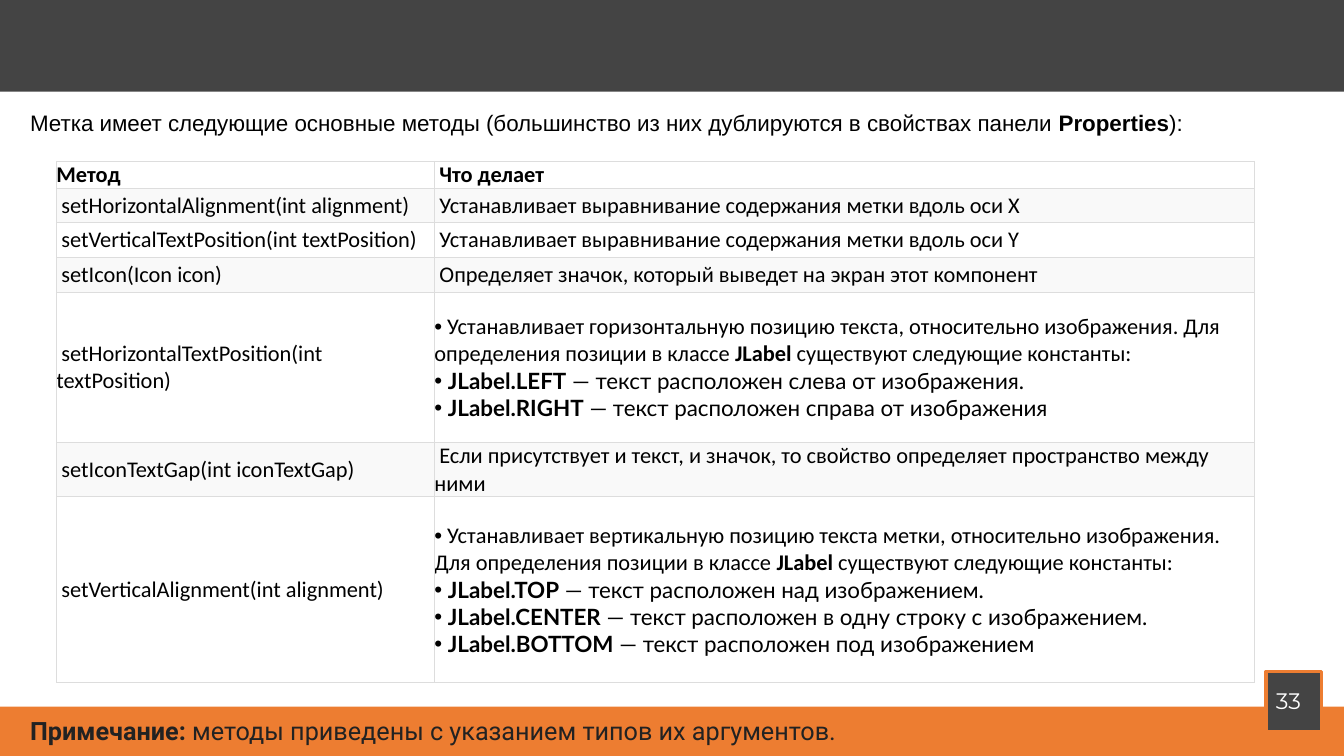
from lxml.etree import SubElement
from pptx import Presentation
from pptx.dml.color import RGBColor as RGB
from pptx.enum.shapes import MSO_SHAPE as SHAPE
from pptx.enum.text import MSO_ANCHOR as ANCHOR
from pptx.oxml.ns import qn
from pptx.util import Inches, Pt

ORANGE = RGB(0xED, 0x7D, 0x31)
DARK = RGB(0x44, 0x44, 0x44)
INK = RGB(0x22, 0x22, 0x22)
BLACK = RGB(0, 0, 0)
WHITE = RGB(0xFF, 0xFF, 0xFF)
STRIPE = RGB(0xF9, 0xF9, 0xF9)
BORDER = RGB(0xDD, 0xDD, 0xDD)

COLS, ROWS = 40, 30
METHOD_COLS = [11.25, 24.42]
METHOD_ROWS = [1.08, 1.36, 1.36, 1.4, 5.96, 2.16, 7.36]
METHODS = [
    ("*Метод*", [" *Что делает*"]),
    (" setHorizontalAlignment(int alignment)",
     [" Устанавливает выравнивание содержания метки вдоль оси X"]),
    (" setVerticalTextPosition(int textPosition)",
     [" Устанавливает выравнивание содержания метки вдоль оси Y"]),
    (" setIcon(Icon icon)",
     [" Определяет значок, который выведет на экран этот компонент"]),
    (" setHorizontalTextPosition(int textPosition)",
     [" Устанавливает горизонтальную позицию текста, относительно изображения. "
      "Для определения позиции в классе *JLabel* существуют следующие константы:",
      " *JLabel.LEFT* — текст расположен слева от изображения.",
      " *JLabel.RIGHT* — текст расположен справа от изображения"]),
    (" setIconTextGap(int iconTextGap)",
     [" Если присутствует и текст, и значок, то свойство определяет "
      "пространство между ними"]),
    (" setVerticalAlignment(int alignment)",
     [" Устанавливает вертикальную позицию текста метки, относительно изображения. "
      "Для определения позиции в классе *JLabel* существуют следующие константы:",
      " *JLabel.TOP* — текст расположен над изображением.",
      " *JLabel.CENTER* — текст расположен в одну строку с изображением.",
      " *JLabel.BOTTOM* — текст расположен под изображением"]),
]


class Deck:
    def __init__(self):
        self.prs = Presentation()
        self.prs.slide_width, self.prs.slide_height = Inches(13.33), Inches(7.5)
        self.s = self.prs.slides.add_slide(self.prs.slide_layouts[6])

    def x(self, cols):
        return round(self.prs.slide_width * cols / COLS)

    def y(self, rows):
        return round(self.prs.slide_height * rows / ROWS)

    def box(self, left, top, width, height):
        return self.x(left), self.y(top), self.x(width), self.y(height)

    def rect(self, *place, fill, line=None):
        sp = self.s.shapes.add_shape(SHAPE.RECTANGLE, *self.box(*place))
        sp.shadow.inherit = False
        sp.fill.solid()
        sp.fill.fore_color.rgb = fill
        if line is None:
            sp.line.fill.background()
        else:
            sp.line.color.rgb = line
            sp.line.width = Pt(2.25)

    def add_runs(self, p, text, font, size, color):
        for i, part in enumerate(text.split("*")):
            if part:
                r = p.add_run()
                r.text = part
                r.font.name, r.font.size = font, Pt(size)
                r.font.bold = i % 2 == 1
                r.font.color.rgb = color

    def text(self, *place, text, font, size, color):
        tf = self.s.shapes.add_textbox(*self.box(*place)).text_frame
        tf.word_wrap = True
        self.add_runs(tf.paragraphs[0], text, font, size, color)

    def bullet(self, p):
        pPr = p._p.get_or_add_pPr()
        pPr.set("marL", "0")
        pPr.set("indent", "0")
        SubElement(pPr, qn("a:buFont"), typeface="Arial")
        SubElement(pPr, qn("a:buChar"), char="•")

    def cell(self, cell, lines, fill):
        tcPr = cell._tc.get_or_add_tcPr()
        for side in ("lnL", "lnR", "lnT", "lnB"):
            ln = SubElement(tcPr, qn(f"a:{side}"), w=str(Pt(0.75)))
            solid = SubElement(ln, qn("a:solidFill"))
            SubElement(solid, qn("a:srgbClr"), val=str(BORDER))
        cell.fill.solid()
        cell.fill.fore_color.rgb = fill
        cell.vertical_anchor = ANCHOR.MIDDLE
        cell.margin_left = cell.margin_right = 0
        cell.margin_top = cell.margin_bottom = 0
        tf = cell.text_frame
        for i, line in enumerate(lines):
            p = tf.add_paragraph() if i else tf.paragraphs[0]
            if len(lines) > 1:
                self.bullet(p)
            self.add_runs(p, line, "Lato" if i else "Calibri", 16, BLACK)

    def table(self, left, top, cols, rows, data):
        place = self.box(left, top, sum(cols), sum(rows))
        tbl = self.s.shapes.add_table(len(rows), len(cols), *place).table
        tbl.first_row = tbl.horz_banding = False
        for column, width in zip(tbl.columns, cols):
            column.width = self.x(width)
        for i, (height, (method, effect)) in enumerate(zip(rows, data)):
            tbl.rows[i].height = self.y(height)
            fill = STRIPE if i % 2 else WHITE
            self.cell(tbl.cell(i, 0), [method], fill)
            self.cell(tbl.cell(i, 1), effect, fill)


def main():
    deck = Deck()
    deck.rect(0, 28.04, COLS, 1.96, fill=ORANGE)
    deck.rect(0, 0, COLS, 3.64, fill=DARK)
    deck.rect(37.68, 26.64, 1.65, 2.4, fill=DARK, line=ORANGE)
    deck.text(37.68, 27.08, 1.65, 1.48, text="33",
              font="Montserrat", size=16, color=WHITE)
    deck.text(0.6, 4.12, 38.44, 1.48, font="Arial", size=16, color=BLACK,
              text="Метка имеет следующие основные методы (большинство из них "
                   "дублируются в свойствах панели *Properties*):")
    deck.table(1.68, 6.4, METHOD_COLS, METHOD_ROWS, METHODS)
    deck.text(0.6, 28.2, 36.52, 1.6, font="Roboto", size=18, color=INK,
              text="*Примечание:* методы приведены с указанием типов их аргументов.")
    deck.prs.save("out.pptx")


if __name__ == "__main__":
    main()
